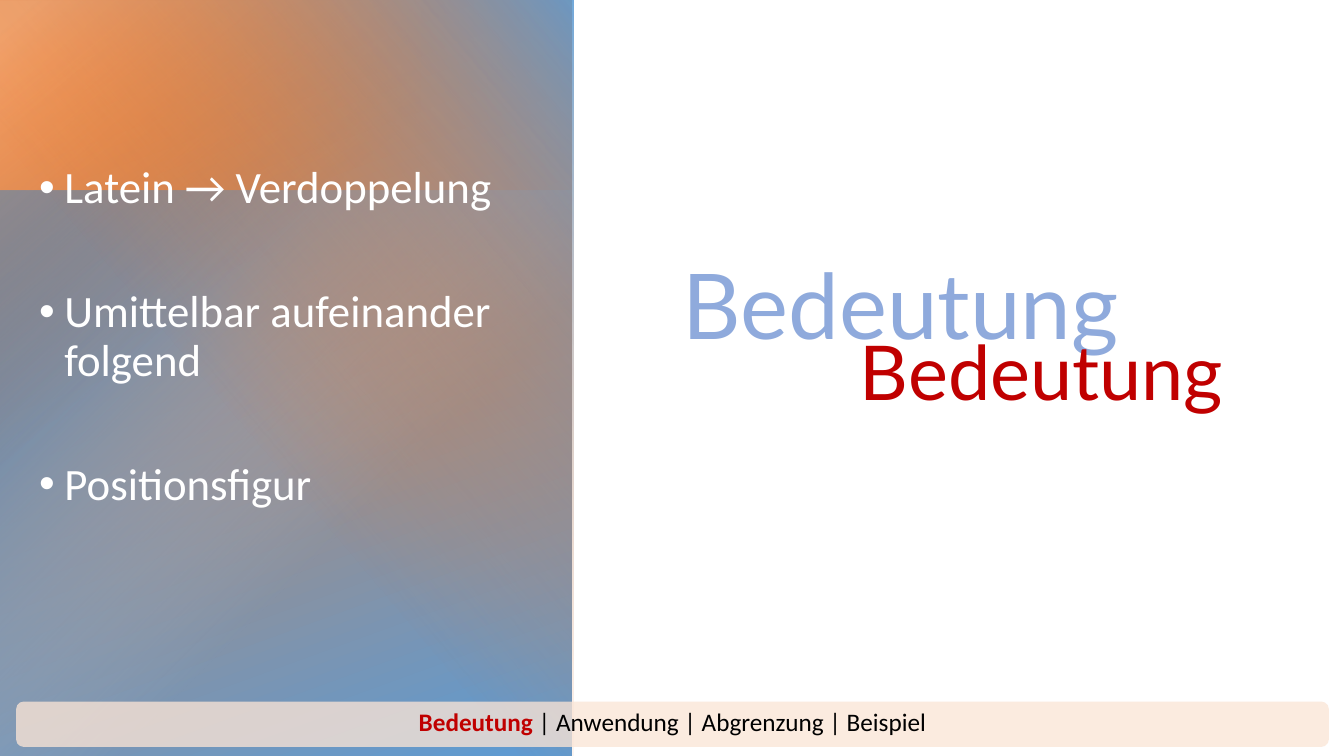
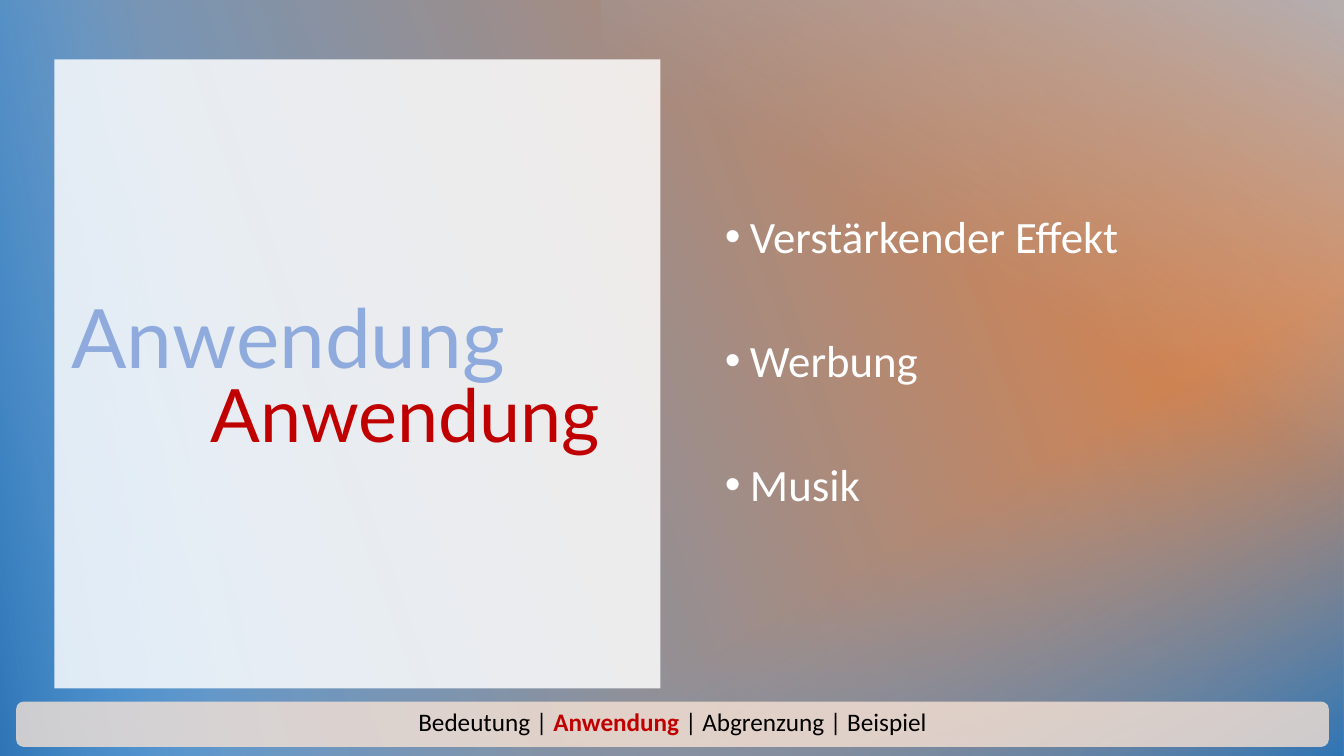
from lxml import etree
from pptx import Presentation
from pptx.dml.color import RGBColor
from pptx.enum.shapes import MSO_SHAPE
from pptx.enum.text import MSO_ANCHOR, MSO_AUTO_SIZE, PP_ALIGN
from pptx.oxml.ns import qn
from pptx.util import Emu, Pt

RECT, ROUND = MSO_SHAPE.RECTANGLE, MSO_SHAPE.ROUNDED_RECTANGLE
TOP, BOTTOM = MSO_ANCHOR.TOP, MSO_ANCHOR.BOTTOM
LEFT, CENTER = PP_ALIGN.LEFT, PP_ALIGN.CENTER
GROW = MSO_AUTO_SIZE.SHAPE_TO_FIT_TEXT

SCALE = 9144
WIDTH, HEIGHT = 1333, 750

ORANGE, PEACH, CREAM = "ED7D31", "F4B183", "FBE5D6"
NAVY, BLUE, SKY = "2E75B6", "5B9BD5", "9DC3E6"
PERIWINKLE, RED, WHITE, BLACK = "8FAADC", "C00000", "FFFFFF", "000000"
HEAD_FONT, BODY_FONT = "Lato", "Calibri"
AGENDA = ["Bedeutung", "Anwendung", "Abgrenzung", "Beispiel"]


def px(n):
    return Emu(n * SCALE)


def rgb(value):
    return RGBColor.from_string(value)


def child(parent, tag, **attrs):
    el = etree.SubElement(parent, qn(tag))
    for key, value in attrs.items():
        el.set(key, str(value))
    return el


def add_alpha(color, percent):
    child(color, "a:alpha", val=percent * 1000)


class Deck:
    def __init__(self):
        self.prs = Presentation()
        self.prs.slide_width, self.prs.slide_height = px(WIDTH), px(HEIGHT)
        self.s = None

    def slide(self):
        self.s = self.prs.slides.add_slide(self.prs.slide_layouts[6])

    def shape(self, box, kind=RECT, shapes=None):
        shapes = self.s.shapes if shapes is None else shapes
        sp = shapes.add_shape(kind, *map(px, box))
        sp.shadow.inherit = False
        sp.line.fill.background()
        return sp

    def panel(self, box, color, alpha, kind=RECT):
        sp = self.shape(box, kind)
        sp.fill.solid()
        sp.fill.fore_color.rgb = rgb(color)
        add_alpha(sp.element.spPr.find(".//" + qn("a:srgbClr")), alpha)

    def backdrop(self, layers):
        group = self.s.shapes.add_group_shape()
        for layer in layers:
            self.glow(group.shapes, **layer)

    def glow(self, shapes, box, stops, angle=None, rotation=0, flip=False):
        sp = self.shape(box, shapes=shapes)
        sp.rotation = rotation
        if flip:
            sp.element.spPr.find(qn("a:xfrm")).set("flipH", "1")
        sp.fill.gradient()
        grad = sp.element.spPr.find(qn("a:gradFill"))
        for el in list(grad):
            grad.remove(el)
        grad.set("rotWithShape", "1")
        gs_list = child(grad, "a:gsLst")
        for position, color, alpha in stops:
            gs = child(gs_list, "a:gs", pos=position * 1000)
            add_alpha(child(gs, "a:srgbClr", val=color), alpha)
        if angle is None:
            path = child(grad, "a:path", path="circle")
            child(path, "a:fillToRect", r=100000, b=100000)
        else:
            child(grad, "a:lin", ang=angle * 60000, scaled=0)

    def frame(self, box, anchor=TOP):
        tf = self.s.shapes.add_textbox(*map(px, box)).text_frame
        tf.word_wrap = True
        tf.vertical_anchor = anchor
        return tf

    def paragraph(self, p, runs, **formats):
        for name, value in formats.items():
            setattr(p, name, value)
        for text, font, size, color, bold in runs:
            r = p.add_run()
            r.text = text
            values = {"name": font, "size": Pt(size), "bold": bold}
            for name, value in values.items():
                setattr(r.font, name, value)
            r.font.color.rgb = rgb(color)

    def heading(self, box, text, size, color, anchor=TOP):
        p = self.frame(box, anchor).paragraphs[0]
        self.paragraph(p, [(text, HEAD_FONT, size, color, False)],
                       alignment=LEFT, line_spacing=0.9)

    def bullets(self, box, items):
        tf = self.frame(box)
        for i, text in enumerate(items):
            p = tf.add_paragraph() if i else tf.paragraphs[0]
            self.paragraph(p, [(text, BODY_FONT, 32, WHITE, False)],
                           alignment=LEFT, line_spacing=0.9,
                           space_before=Pt(54 if i else 10))
            pPr = p._p.get_or_add_pPr()
            pPr.set("marL", str(px(25)))
            pPr.set("indent", str(px(-25)))
            child(pPr, "a:buFont", typeface="Arial")
            child(pPr, "a:buChar", char="•")

    def footer(self, current):
        self.panel((16, 696, 1302, 45), CREAM, 77, ROUND)
        tf = self.frame((16, 696, 1302, 40))
        tf.auto_size = GROW
        runs = []
        for i, label in enumerate(AGENDA):
            if i:
                runs.append((" | ", BODY_FONT, 18, BLACK, False))
            active = label == current
            runs.append((label, BODY_FONT, 18, RED if active else BLACK, active))
        self.paragraph(tf.paragraphs[0], runs, alignment=CENTER)


def meaning(deck):
    deck.slide()
    deck.backdrop([
        dict(box=(-2, 0, 569, 753), angle=70,
             stops=[(7, ORANGE, 100), (100, BLUE, 100)]),
        dict(box=(-2, 189, 569, 563), rotation=180,
             stops=[(0, NAVY, 100), (60, SKY, 0)]),
        dict(box=(-2, 1, 419, 752), angle=50,
             stops=[(3, PEACH, 78), (42, ORANGE, 0)]),
        dict(box=(-92, 91, 752, 569), angle=230, rotation=270,
             stops=[(0, BLUE, 86), (57, ORANGE, 0)]),
    ])
    deck.heading((667, 246, 525, 115), "Bedeutung", 64.8, PERIWINKLE, BOTTOM)
    deck.bullets((29, 159, 511, 451), [
        "Latein → Verdoppelung", "Umittelbar aufeinander folgend", "Positionsfigur"])
    deck.heading((843, 303, 475, 115), "Bedeutung", 54, RED, BOTTOM)
    deck.footer("Bedeutung")


def usage(deck):
    deck.slide()
    deck.backdrop([
        dict(box=(290, -293, 750, 1336), angle=70, rotation=90,
             stops=[(0, ORANGE, 100), (93, BLUE, 100)]),
        dict(box=(350, -233, 749, 1218), angle=330, rotation=270,
             stops=[(0, NAVY, 100), (32, BLUE, 0)]),
        dict(box=(-1, -1, 420, 753), angle=190, flip=True,
             stops=[(0, NAVY, 100), (48, BLUE, 0)]),
        dict(box=(677, -81, 576, 737), angle=30, rotation=90,
             stops=[(2, SKY, 68), (48, SKY, 0)]),
    ])
    deck.bullets((709, 208, 476, 335), ["Verstärkender Effekt", "Werbung", "Musik"])
    deck.panel((54, 59, 601, 624), WHITE, 83)
    deck.heading((199, 371, 488, 95), "Anwendung", 52.6, RED)
    deck.heading((61, 290, 526, 95), "Anwendung", 58.5, PERIWINKLE)
    deck.footer("Anwendung")


def main():
    deck = Deck()
    meaning(deck)
    usage(deck)
    deck.prs.save("out.pptx")


if __name__ == "__main__":
    main()
